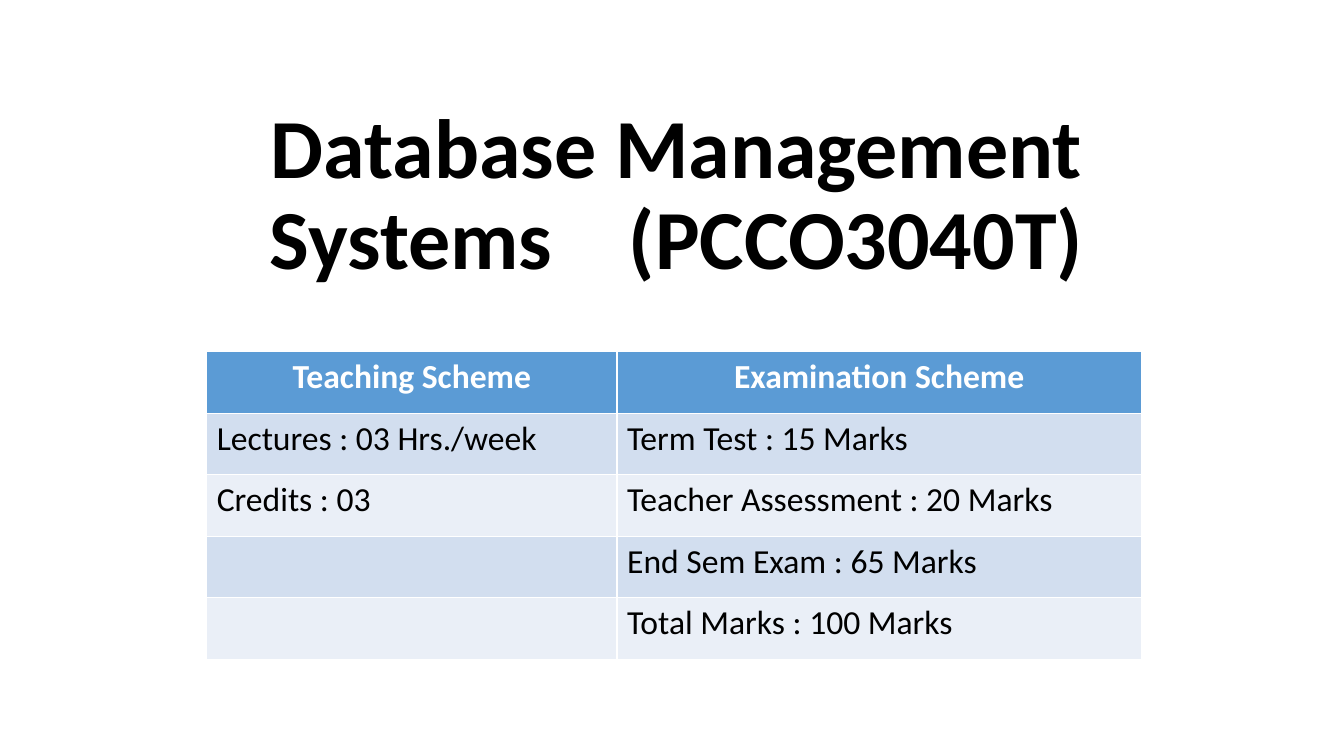
import pptx
import pptx.util
import pptx.dml.color
import pptx.enum.text

Inches = pptx.util.Inches
Pt = pptx.util.Pt
ALIGN = pptx.enum.text.PP_ALIGN
ANCHOR = pptx.enum.text.MSO_ANCHOR
AUTO_SIZE = pptx.enum.text.MSO_AUTO_SIZE

COLORS = {
    "text": "000000",
    "header_text": "FFFFFF",
    "header": "5B9BD5",
    "band_dark": "D2DEEF",
    "band_light": "EAEFF7",
}

SCHEME = [
    ("Teaching Scheme", "Examination Scheme"),
    ("Lectures : 03 Hrs./week", "Term Test : 15 Marks"),
    ("Credits : 03", "Teacher Assessment : 20 Marks"),
    ("", "End Sem Exam : 65 Marks"),
    ("", "Total Marks : 100 Marks"),
]


class Deck:
    font = "Calibri"

    def __init__(self, width, height):
        self.prs = pptx.Presentation()
        self.prs.slide_width = Inches(width)
        self.prs.slide_height = Inches(height)
        self.s = None

    def color(self, name):
        return pptx.dml.color.RGBColor.from_string(COLORS[name])

    def add_slide(self, layout):
        self.s = self.prs.slides.add_slide(self.prs.slide_layouts[layout])

    def apply(self, target, values):
        for name, value in values.items():
            setattr(target, name, value)

    def run(self, p, text, size, color, bold):
        r = p.add_run()
        r.text = text
        self.apply(r.font, {"name": self.font, "size": Pt(size), "bold": bold})
        r.font.color.rgb = self.color(color)
        return r

    def title(self, box, before, after, size, gap):
        sp = self.s.shapes.title
        sides = ("left", "top", "width", "height")
        self.apply(sp, dict(zip(sides, map(Inches, box))))
        tf = sp.text_frame
        self.apply(tf, {
            "word_wrap": True,
            "auto_size": AUTO_SIZE.NONE,
            "vertical_anchor": ANCHOR.BOTTOM,
        })
        p = tf.paragraphs[0]
        self.apply(p, {"alignment": ALIGN.CENTER, "line_spacing": 0.9})
        self.run(p, before, size, "text", True)
        space = self.run(p, " ", size, "text", True)
        space.font._element.set("spc", str(gap * 100))
        self.run(p, after, size, "text", True)

    def table(self, left, top, widths, row_height, rows, size):
        frame = self.s.shapes.add_table(
            len(rows), len(widths), Inches(left), Inches(top),
            Inches(sum(widths)), Inches(row_height * len(rows)))
        table = frame.table
        for column, width in zip(table.columns, widths):
            column.width = Inches(width)
        for i, row in enumerate(rows):
            header = i == 0
            band = "band_dark" if i % 2 else "band_light"
            table.rows[i].height = Inches(row_height)
            for j, text in enumerate(row):
                cell = table.cell(i, j)
                cell.fill.solid()
                cell.fill.fore_color.rgb = self.color("header" if header else band)
                if text:
                    p = cell.text_frame.paragraphs[0]
                    p.alignment = ALIGN.CENTER if header else ALIGN.LEFT
                    self.run(p, text, size, "header_text" if header else "text", header)

    def remove_empty_placeholders(self):
        for sp in list(self.s.placeholders):
            if not sp.text_frame.text:
                sp.element.getparent().remove(sp.element)


def main():
    deck = Deck(13.33, 7.5)
    deck.add_slide(0)
    deck.title((1.2, 0.29, 11.02, 2.61), "Database Management Systems",
               "(PCCO3040T)", 60, 41)
    deck.table(2.05, 3.49, (4.07, 5.2), 0.61, SCHEME, 24)
    deck.remove_empty_placeholders()
    deck.prs.save("out.pptx")


if __name__ == "__main__":
    main()
